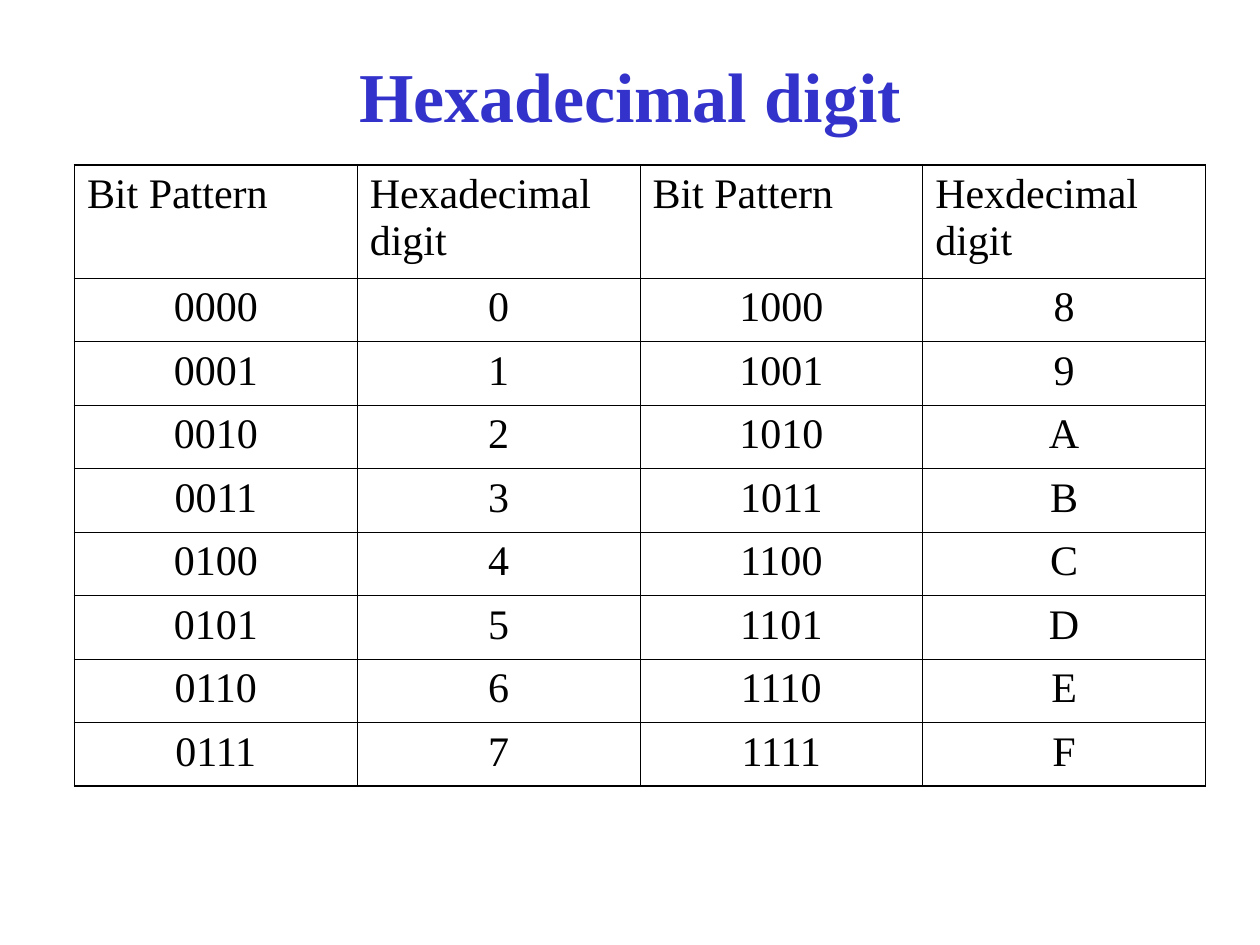
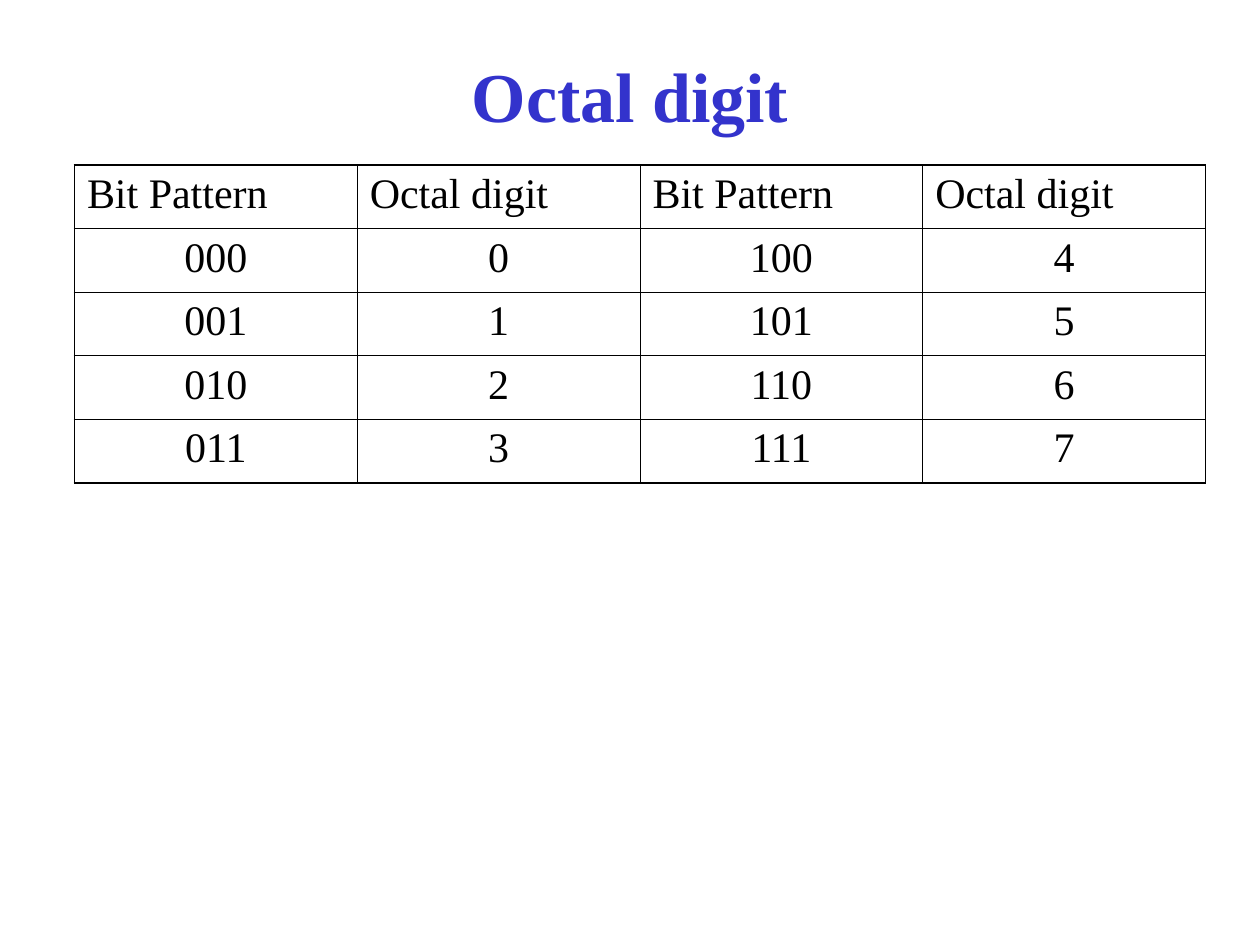
from lxml.etree import SubElement
from pptx import Presentation
from pptx.dml.color import RGBColor
from pptx.enum.text import MSO_ANCHOR as Anchor, PP_ALIGN as Align
from pptx.oxml.ns import qn
from pptx.util import Cm, Pt

TITLE_ONLY = 5
THIN, THICK = Pt(0.45), Pt(1.08)


def color(hex_code):
    return RGBColor.from_string(hex_code)


class Deck:
    font_name = "Times New Roman"
    title_color = "3333CC"
    ink = "000000"

    def __init__(self):
        self.prs = Presentation()
        self.prs.slide_width, self.prs.slide_height = Cm(25.4), Cm(19.05)
        self.slide = None

    def add_text(self, frame, text, size, hex_code, align, bold=False):
        paragraph = frame.paragraphs[0]
        paragraph.alignment = align
        run = paragraph.add_run()
        run.text = text
        run.font.name, run.font.size, run.font.bold = self.font_name, Pt(size), bold
        run.font.color.rgb = color(hex_code)

    def add_slide(self, heading):
        self.slide = self.prs.slides.add_slide(self.prs.slide_layouts[TITLE_ONLY])
        title = self.slide.shapes.title
        title.left, title.top, title.width, title.height = (
            Cm(1.27), Cm(0.76), Cm(22.86), Cm(3.18))
        frame = title.text_frame
        frame.vertical_anchor = Anchor.TOP
        frame.margin_top = Cm(0.3)
        self.add_text(frame, heading, 40, self.title_color, Align.CENTER, bold=True)

    def draw_border(self, cell, side, width):
        line = SubElement(cell._tc.get_or_add_tcPr(), qn(f"a:ln{side}"), w=str(width))
        fill = SubElement(line, qn("a:solidFill"))
        SubElement(fill, qn("a:srgbClr"), val=self.ink)

    def add_digit_table(self, rows, header_height):
        """Ruled grid with a left-aligned header row and a thicker outer frame."""
        row_height, column_width = Cm(1.28), Cm(5.7)
        last_row, last_column = len(rows) - 1, len(rows[0]) - 1
        table = self.slide.shapes.add_table(
            len(rows), len(rows[0]), Cm(1.5), Cm(3.33),
            column_width * len(rows[0]), header_height + row_height * last_row).table
        table.first_row = table.horz_banding = False
        for column in table.columns:
            column.width = column_width
        for r, row in enumerate(rows):
            table.rows[r].height = row_height if r else header_height
            for c, text in enumerate(row):
                cell = table.cell(r, c)
                outer = {"L": c == 0, "R": c == last_column,
                         "T": r == 0, "B": r == last_row}
                for side, is_outer in outer.items():
                    self.draw_border(cell, side, THICK if is_outer else THIN)
                cell.fill.background()
                self.add_text(cell.text_frame, text, 24, self.ink,
                              Align.CENTER if r else Align.LEFT)


def digit_rows(bits):
    """Pair each bit pattern with its digit, the upper half beside the lower."""
    half = 2 ** (bits - 1)
    return [[text for value in (low, low + half)
             for text in (f"{value:0{bits}b}", f"{value:X}")]
            for low in range(half)]


def main():
    deck = Deck()

    deck.add_slide("Hexadecimal digit")
    hex_header = ["Bit Pattern", "Hexadecimal digit", "Bit Pattern", "Hexdecimal digit"]
    deck.add_digit_table([hex_header] + digit_rows(4), Cm(2.28))

    deck.add_slide("Octal digit")
    octal_header = ["Bit Pattern", "Octal digit"] * 2
    deck.add_digit_table([octal_header] + digit_rows(3), Cm(1.28))

    deck.prs.save("out.pptx")


if __name__ == "__main__":
    main()
